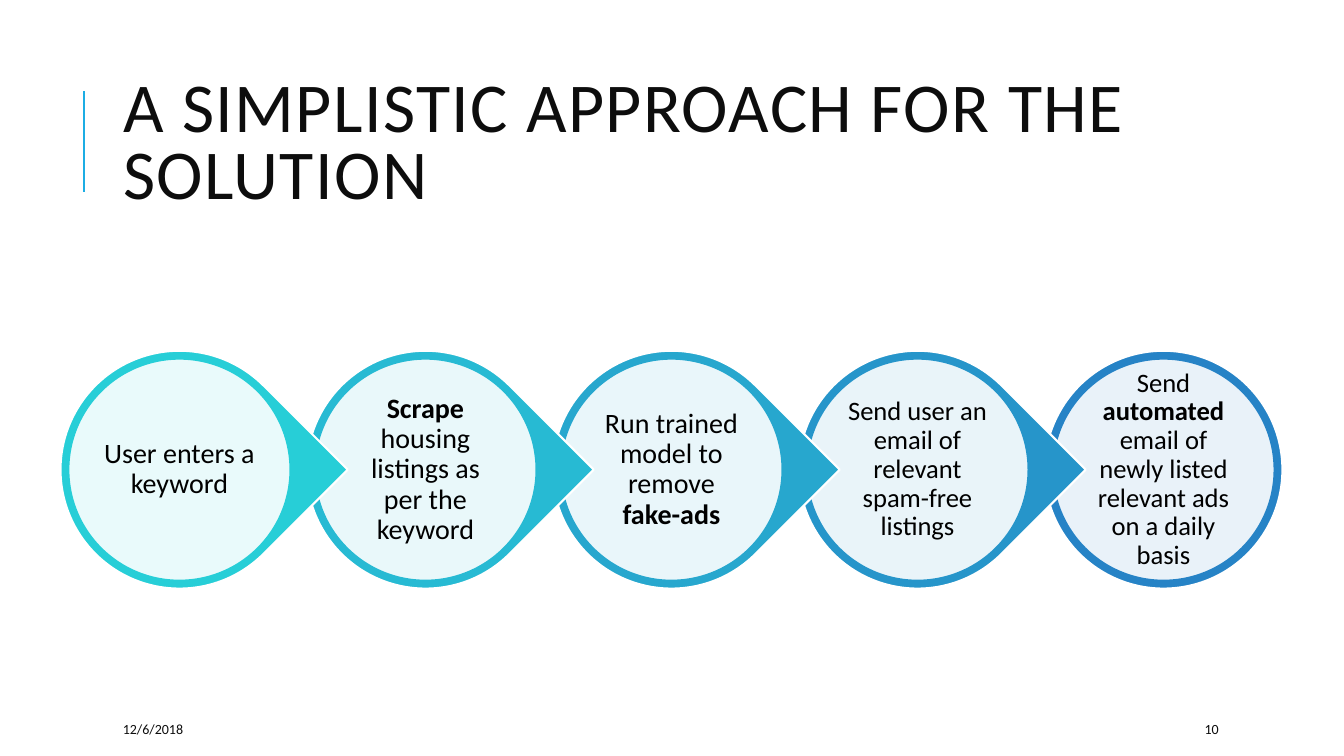
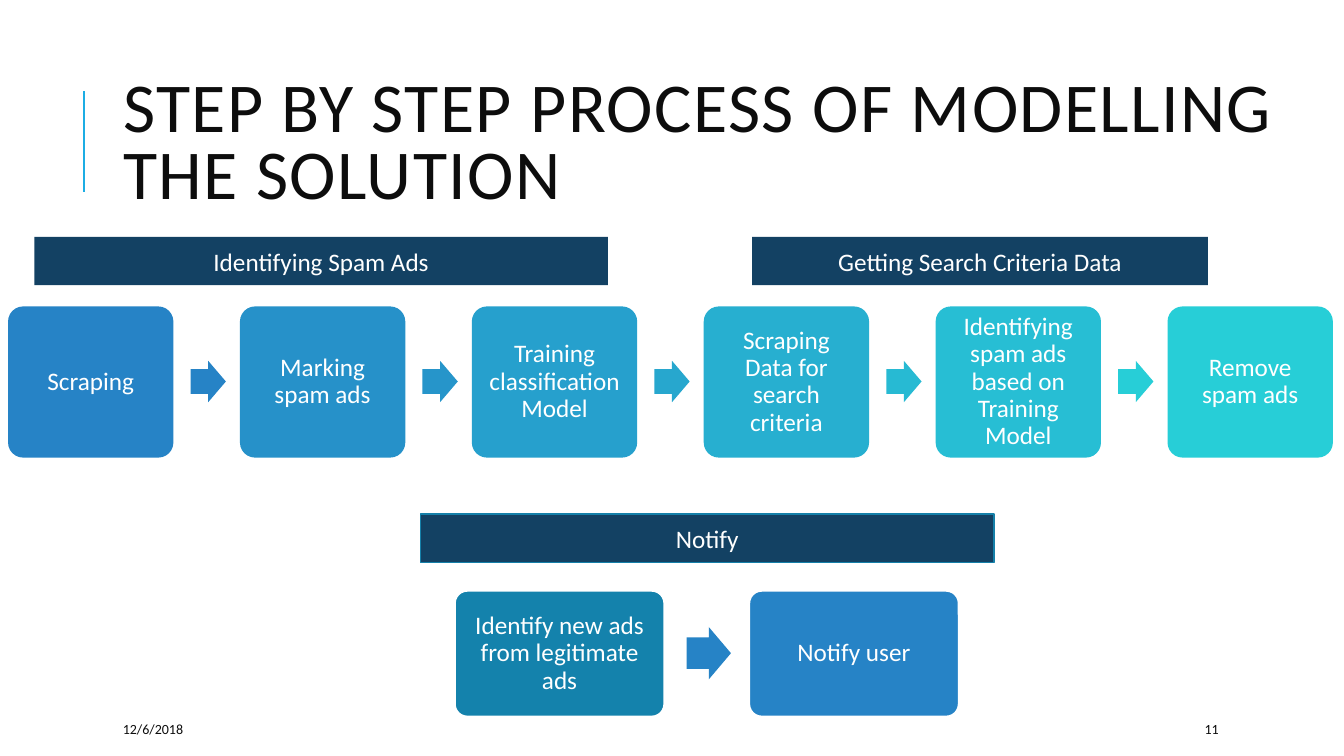
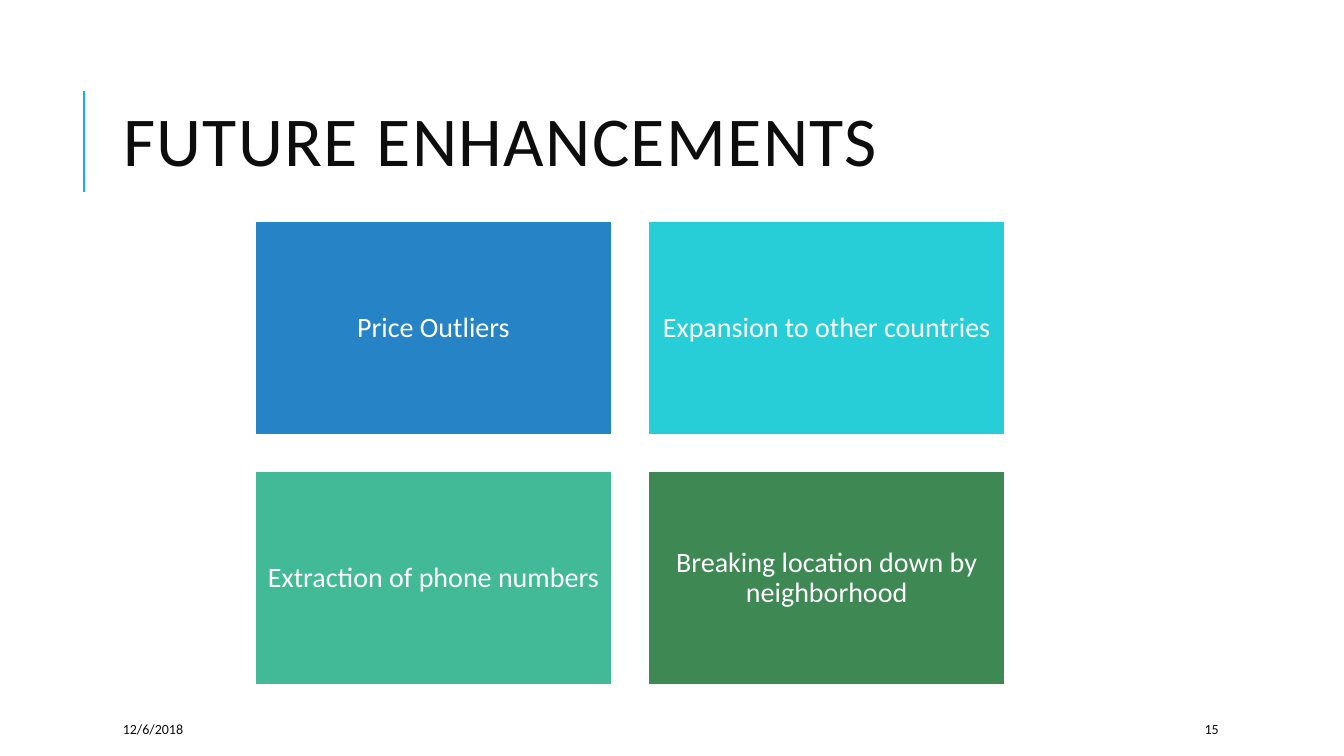
from itertools import product
from lxml.etree import SubElement
from pptx import Presentation
from pptx.dml.color import RGBColor
from pptx.enum.shapes import MSO_CONNECTOR, MSO_SHAPE
from pptx.enum.text import MSO_ANCHOR, MSO_AUTO_SIZE, PP_ALIGN
from pptx.oxml.ns import qn
from pptx.util import Emu, Pt

EMU_PER_PX = 9144

WHITE = RGBColor(0xFF, 0xFF, 0xFF)
BLACK = RGBColor(0x00, 0x00, 0x00)
INK = RGBColor(0x0D, 0x0D, 0x0D)
SKY = RGBColor(0x1C, 0xAD, 0xE4)
NAVY = RGBColor(0x13, 0x41, 0x63)
TEAL = RGBColor(0x14, 0x82, 0xAC)
TEAL_EDGE = RGBColor(0x15, 0x80, 0xA9)
BLUE = RGBColor(0x26, 0x83, 0xC6)
CYAN = RGBColor(0x27, 0xCE, 0xD7)
MINT = RGBColor(0x42, 0xBA, 0x97)
GREEN = RGBColor(0x3E, 0x88, 0x53)
CYAN_TO_BLUE = [CYAN, RGBColor(0x27, 0xBA, 0xD3), RGBColor(0x27, 0xA7, 0xCE),
                RGBColor(0x26, 0x95, 0xCA), BLUE]
STEP_COLOURS = [BLUE, RGBColor(0x26, 0x91, 0xC9), RGBColor(0x26, 0xA0, 0xCD),
                RGBColor(0x27, 0xAF, 0xD0), RGBColor(0x27, 0xBE, 0xD4), CYAN]


def px(length):
    return Emu(length * EMU_PER_PX)


class Deck:
    FONT = "Calibri"
    DATE = "12/6/2018"

    def __init__(self, width, height):
        self.prs = Presentation()
        self.prs.slide_width, self.prs.slide_height = px(width), px(height)
        self.slide = None

    def start(self, heading, page, heading_width=1063):
        self.slide = self.prs.slides.add_slide(self.prs.slide_layouts[5])
        self.rule(83, 190, 90)
        title = self.slide.shapes.title
        place = dict(left=112, top=63, width=heading_width, height=164)
        for name, length in place.items():
            setattr(title, name, px(length))
        self.put_text(title, heading, 50, INK, PP_ALIGN.LEFT, spacing=0.8)
        for run in title.text_frame.paragraphs[0].runs:
            run.font._element.set("spc", "100")
        self.label(self.DATE, 112, 236)
        self.label(str(page), 1185, 106)

    def rule(self, x, start, end):
        line = self.slide.shapes.add_connector(
            MSO_CONNECTOR.STRAIGHT, px(x), px(start), px(x), px(end))
        line.line.color.rgb = SKY
        line.line.width = Pt(1.5)
        SubElement(line._element.spPr, qn("a:effectLst"))

    def label(self, text, left, width):
        box = self.slide.shapes.add_textbox(px(left), px(708), px(width), px(30))
        self.put_text(box, text, 10, INK, PP_ALIGN.LEFT)

    def put_text(self, shape, text, size, colour, align=PP_ALIGN.CENTER,
                 spacing=None, inset=None):
        frame = shape.text_frame
        frame_format = dict(word_wrap=True, auto_size=MSO_AUTO_SIZE.NONE,
                            vertical_anchor=MSO_ANCHOR.MIDDLE)
        if inset is not None:
            sides = ("left", "top", "right", "bottom")
            frame_format.update({f"margin_{side}": px(inset) for side in sides})
        for name, value in frame_format.items():
            setattr(frame, name, value)
        paragraph = frame.paragraphs[0]
        paragraph.alignment = align
        paragraph.line_spacing = spacing
        for index, part in enumerate(text.split("*")):
            if not part:
                continue
            run = paragraph.add_run()
            run.text = part
            font_format = dict(name=self.FONT, size=Pt(size), bold=index % 2 == 1)
            for name, value in font_format.items():
                setattr(run.font, name, value)
            run.font.color.rgb = colour

    def shape(self, kind, left, top, width, height, fill, edge=None,
              edge_width=1.5, adjust=()):
        shape = self.slide.shapes.add_shape(
            kind, px(left), px(top), px(width), px(height))
        shape.shadow.inherit = False
        shape.fill.solid()
        shape.fill.fore_color.rgb = fill
        if edge is None:
            shape.line.fill.background()
        else:
            shape.line.color.rgb = edge
            shape.line.width = Pt(edge_width)
        for index, value in enumerate(adjust):
            shape.adjustments[index] = value
        return shape

    def ring(self, left, top, text, size, colour, pointed):
        if pointed:
            drop = self.shape(MSO_SHAPE.TEAR, left, top, 236, 236, colour, WHITE,
                              adjust=[1])
            drop.rotation = 45
        else:
            self.shape(MSO_SHAPE.OVAL, left, top, 236, 236, colour, WHITE)
        disc = self.shape(MSO_SHAPE.OVAL, left + 8, top + 8, 220, 220, WHITE,
                          colour, 1.25)
        tint = disc._element.spPr.find(qn("a:solidFill"))[0]
        SubElement(tint, qn("a:alpha")).set("val", "90000")
        self.put_text(disc, text, size, BLACK, spacing=0.9, inset=3)

    def banner(self, text, left, top, width, edge=None):
        bar = self.shape(MSO_SHAPE.RECTANGLE, left, top, width, 48, NAVY, edge, 1.25)
        self.put_text(bar, text, 18, WHITE)

    def flow(self, steps, left, top, box, pitch, arrow, gap, colours,
             arrow_colours, edge=None):
        width, height = box
        arrow_width, arrow_height = arrow
        for index, (text, colour) in enumerate(zip(steps, colours)):
            step = self.shape(MSO_SHAPE.ROUNDED_RECTANGLE, left + index * pitch, top,
                              width, height, colour, edge, adjust=[0.1])
            self.put_text(step, text, 18, WHITE, spacing=0.9, inset=11)
        for index, colour in enumerate(arrow_colours):
            self.shape(MSO_SHAPE.RIGHT_ARROW, left + index * pitch + width + gap,
                       top + (height - arrow_height) // 2, arrow_width,
                       arrow_height, colour, adjust=[0.6, 0.5])

    def tile(self, text, left, top, colour):
        tile = self.shape(MSO_SHAPE.RECTANGLE, left, top, 354, 213, colour, WHITE)
        self.put_text(tile, text, 20, WHITE, spacing=0.9, inset=8)


def approach(deck):
    deck.start("A SIMPLISTIC APPROACH FOR THE SOLUTION", 10)
    stages = [
        ("User enters a keyword", 20),
        ("*Scrape* housing listings as per the keyword", 20),
        ("Run trained model to remove *fake-ads*", 20),
        ("Send user an email of relevant spam-free listings", 19),
        ("Send *automated* email of newly listed relevant ads on a daily basis", 19),
    ]
    last = len(stages) - 1
    for index in range(last, -1, -1):
        text, size = stages[index]
        deck.ring(60 + 244 * index, 348, text, size, CYAN_TO_BLUE[index],
                  pointed=index < last)


def process(deck):
    deck.start("STEP BY STEP PROCESS OF MODELLING THE SOLUTION", 11, 1189)
    steps = ["Scraping", "Marking spam ads", "Training classification Model",
             "Scraping Data for search criteria",
             "Identifying spam ads based on Training Model", "Remove spam ads"]
    deck.flow(steps, 8, 304, (164, 150), 230, (35, 41), 17, STEP_COLOURS,
              CYAN_TO_BLUE[::-1])
    deck.banner("Identifying Spam Ads", 34, 235, 569)
    deck.banner("Getting Search Criteria Data", 746, 235, 452)
    deck.flow(["Identify new ads from legitimate ads", "Notify user"], 451, 586,
              (208, 125), 292, (44, 52), 22, [TEAL, BLUE], [BLUE], WHITE)
    deck.banner("Notify", 417, 510, 569, TEAL_EDGE)


def enhancements(deck):
    deck.start("FUTURE ENHANCEMENTS", 15)
    ideas = [("Price Outliers", BLUE), ("Expansion to other countries", CYAN),
             ("Extraction of phone numbers", MINT),
             ("Breaking location down by neighborhood", GREEN)]
    for (row, column), (text, colour) in zip(product(range(2), repeat=2), ideas):
        deck.tile(text, 253 + 390 * column, 219 + 248 * row, colour)


def main():
    deck = Deck(1333, 750)
    approach(deck)
    process(deck)
    enhancements(deck)
    deck.prs.save("out.pptx")


if __name__ == "__main__":
    main()
